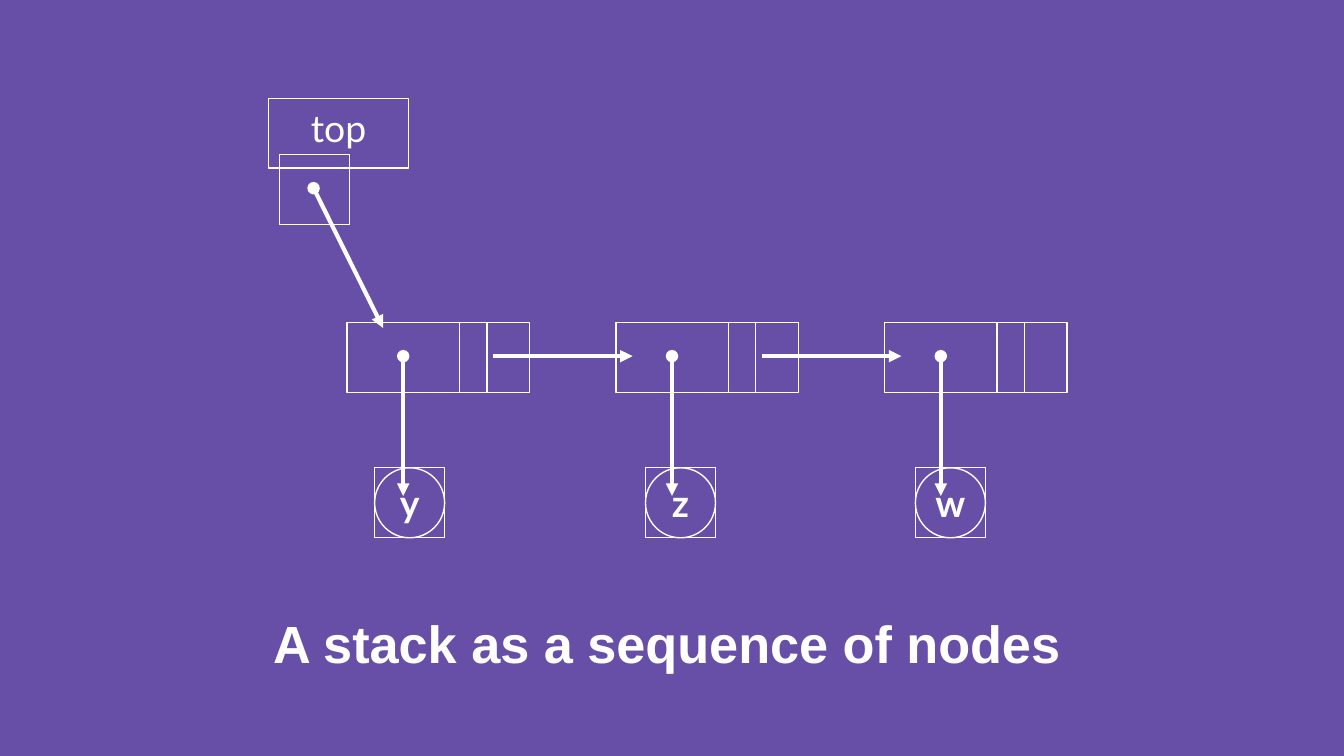
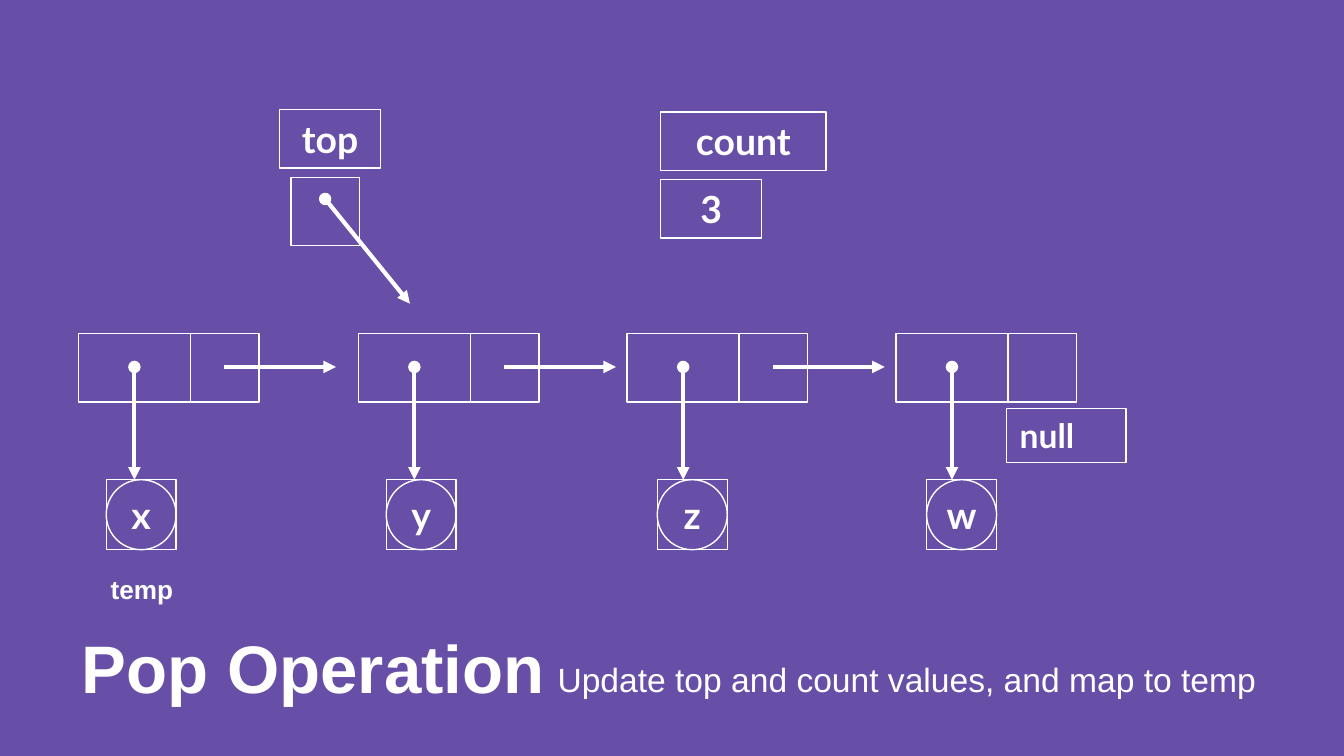
from lxml import etree
from pptx import Presentation
from pptx.dml.color import RGBColor
from pptx.enum.shapes import MSO_CONNECTOR, MSO_SHAPE
from pptx.enum.text import MSO_ANCHOR, MSO_AUTO_SIZE, PP_ALIGN
from pptx.oxml.ns import qn
from pptx.util import Pt

RECT, OVAL = MSO_SHAPE.RECTANGLE, MSO_SHAPE.OVAL
STRAIGHT = MSO_CONNECTOR.STRAIGHT
LEFT, CENTER = PP_ALIGN.LEFT, PP_ALIGN.CENTER
TOP, MIDDLE = MSO_ANCHOR.TOP, MSO_ANCHOR.MIDDLE
NO_FIT = MSO_AUTO_SIZE.NONE

COLORS = {"back": "674EA7", "ink": "FFFFFF"}
HEAD, BODY = "Arial", "Lato"
THIN, THICK = 0.75, 2.25
ITEM = 37.5  # side of an item box

# Content: boxes are (left, top, width, height); nodes are (item, node left, item left)
SLIDES = [
    {
        "title": ("A stack as a sequence of nodes", (126, 324, 462.2, 43.2), 28, CENTER, 3.6),
        "nodes": [("y", 186, 200.7), ("z", 330, 345.8), ("w", 474, 490.4)],
        "cells": {"top": 172.8, "data": 74.9, "next": 37.5, "next_at": 60.2},
        "items": {"top": 250.6, "tip": 265.7},
        "link": 74.9,
        "pointer": ((149.9, 82.8, 37.5, 37.5), (168, 100.8), (205.2, 175.7)),
        "labels": [("top", (144, 52.6, 74.9, 37.5), 20, False, CENTER)],
        "notes": [],
    },
    {
        "title": ("Pop Operation", (36.7, 328.3, 532.8, 58.3), 36, LEFT, 7.2),
        "nodes": [("x", 42, 56.9), ("y", 192, 206.9), ("z", 336, 352.1), ("w", 480, 496.4)],
        "cells": {"top": 178.6, "data": 60, "next": 36.7, "next_at": 60},
        "items": {"top": 257, "tip": 257},
        "link": 60,
        "pointer": ((156, 95, 36.7, 36.7), (174.2, 106.6), (219.6, 162.7)),
        "labels": [
            ("top", (149.8, 58.8, 54, 31.3), 20, True, CENTER),
            ("count", (354, 60, 88.6, 31.4), 20, True, CENTER),
            ("3", (354, 96, 54, 31.6), 20, True, CENTER),
            ("null", (539.2, 218.9, 64, 28.8), 18, True, LEFT),
        ],
        "notes": [
            ("Update top and count values, and map to temp",
             (291.6, 345.6, 457.2, 51.1), 18, False, LEFT),
            ("temp", (38.2, 300.2, 75.6, 27.4), 14, True, CENTER),
        ],
    },
]


def color(name):
    return RGBColor.from_string(COLORS[name])


def write(sp, text, size, bold, align, font, anchor=TOP, inset=3.6):
    tf = sp.text_frame
    tf.word_wrap, tf.auto_size, tf.vertical_anchor = True, NO_FIT, anchor
    tf.margin_left = tf.margin_right = Pt(7.2)
    tf.margin_top = tf.margin_bottom = Pt(inset)
    p = tf.paragraphs[0]
    p.alignment = align
    r = p.add_run()
    r.text = text
    r.font.name, r.font.size, r.font.bold = font, Pt(size), bold
    r.font.color.rgb = color("ink")


def outline(s, kind, box):
    sp = s.shapes.add_shape(kind, *map(Pt, box))
    sp.shadow.inherit = False
    sp.fill.background()
    sp.line.color.rgb = color("ink")
    sp.line.width = Pt(THIN)
    return sp


def arrow(s, start, end, dot=False):
    cx = s.shapes.add_connector(STRAIGHT, *map(Pt, start + end))
    cx.line.color.rgb = color("ink")
    cx.line.width = Pt(THICK)
    ln = cx.line._get_or_add_ln()
    if dot:
        etree.SubElement(ln, qn("a:headEnd"), type="oval")
    etree.SubElement(ln, qn("a:tailEnd"), type="triangle")
    etree.SubElement(cx._element.spPr, qn("a:effectLst"))


def add_title(s, text, box, size, align, inset):
    sp = s.shapes.title
    sp.left, sp.top, sp.width, sp.height = map(Pt, box)
    write(sp, text, size, True, align, HEAD, inset=inset)


def add_node(s, spec_row, cells, items):
    item, left, item_left = spec_row
    side = cells["next"]
    outline(s, RECT, (left, cells["top"], cells["data"], side))
    outline(s, RECT, (left + cells["next_at"], cells["top"], side, side))
    box = (item_left, items["top"], ITEM, ITEM)
    outline(s, OVAL, box)
    write(outline(s, RECT, box), item, 20, True, CENTER, BODY, MIDDLE)
    x = left + 30
    arrow(s, (x, cells["top"] + 18), (x, items["tip"]), dot=True)


def build(prs, data):
    s = prs.slides.add_slide(prs.slide_layouts[5])
    add_title(s, *data["title"])

    # Chain of nodes, each linked to the next
    cells = data["cells"]
    for node in data["nodes"]:
        add_node(s, node, cells, data["items"])
    for _, left, _ in data["nodes"][:-1]:
        x, y = left + 78, cells["top"] + 18
        arrow(s, (x, y), (x + data["link"], y))

    # Pointer to the top node
    box, start, end = data["pointer"]
    outline(s, RECT, box)
    arrow(s, start, end, dot=True)

    # Variable names, values and captions
    for text, box, size, bold, align in data["labels"]:
        write(outline(s, RECT, box), text, size, bold, align, BODY)
    for text, box, size, bold, align in data["notes"]:
        sp = s.shapes.add_textbox(*map(Pt, box))
        write(sp, text, size, bold, align, HEAD, inset=7.2)


def main():
    prs = Presentation()
    prs.slide_width, prs.slide_height = Pt(720), Pt(405)
    fill = prs.slide_master.background.fill
    fill.solid()
    fill.fore_color.rgb = color("back")
    for data in SLIDES:
        build(prs, data)
    prs.save("out.pptx")


if __name__ == "__main__":
    main()
